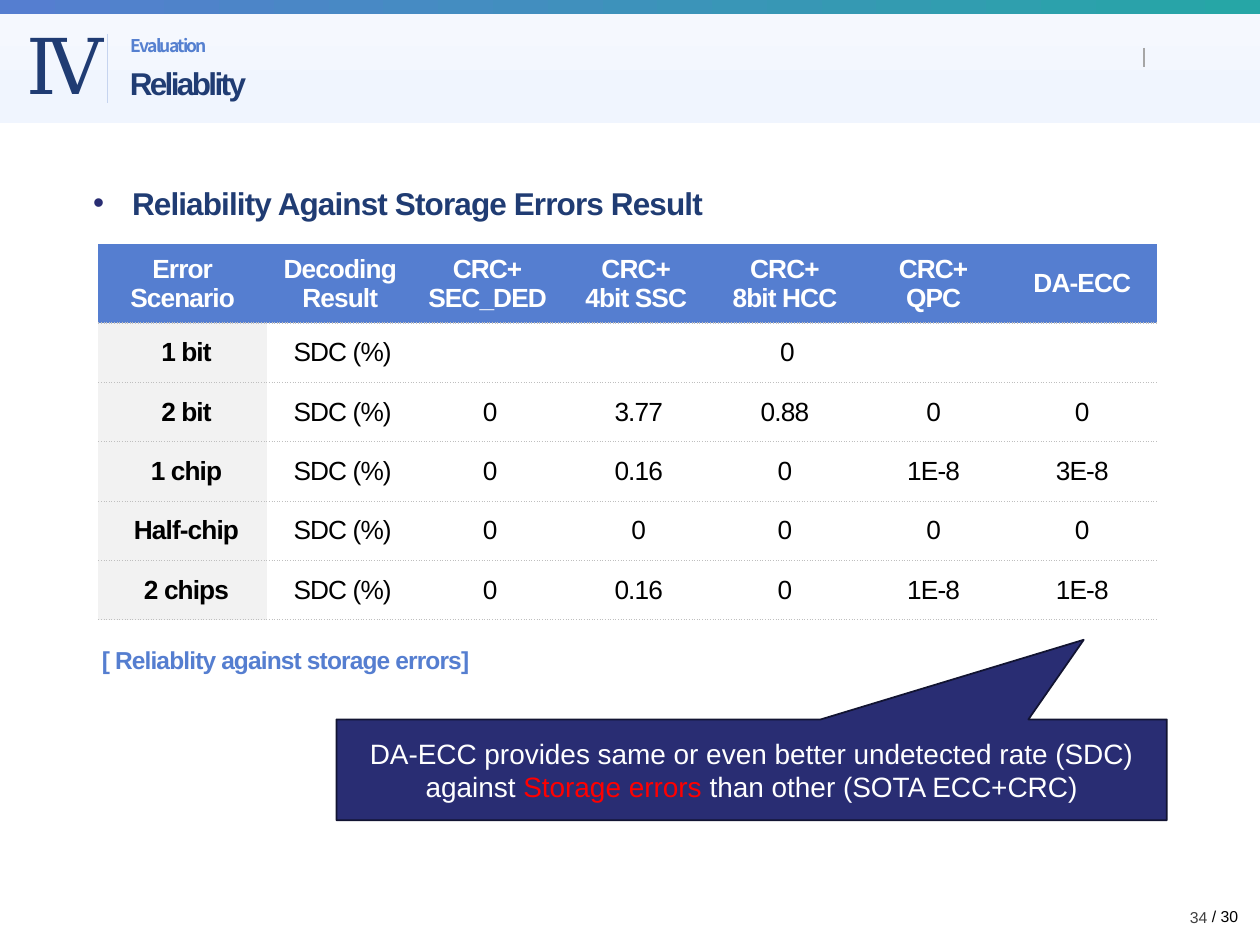
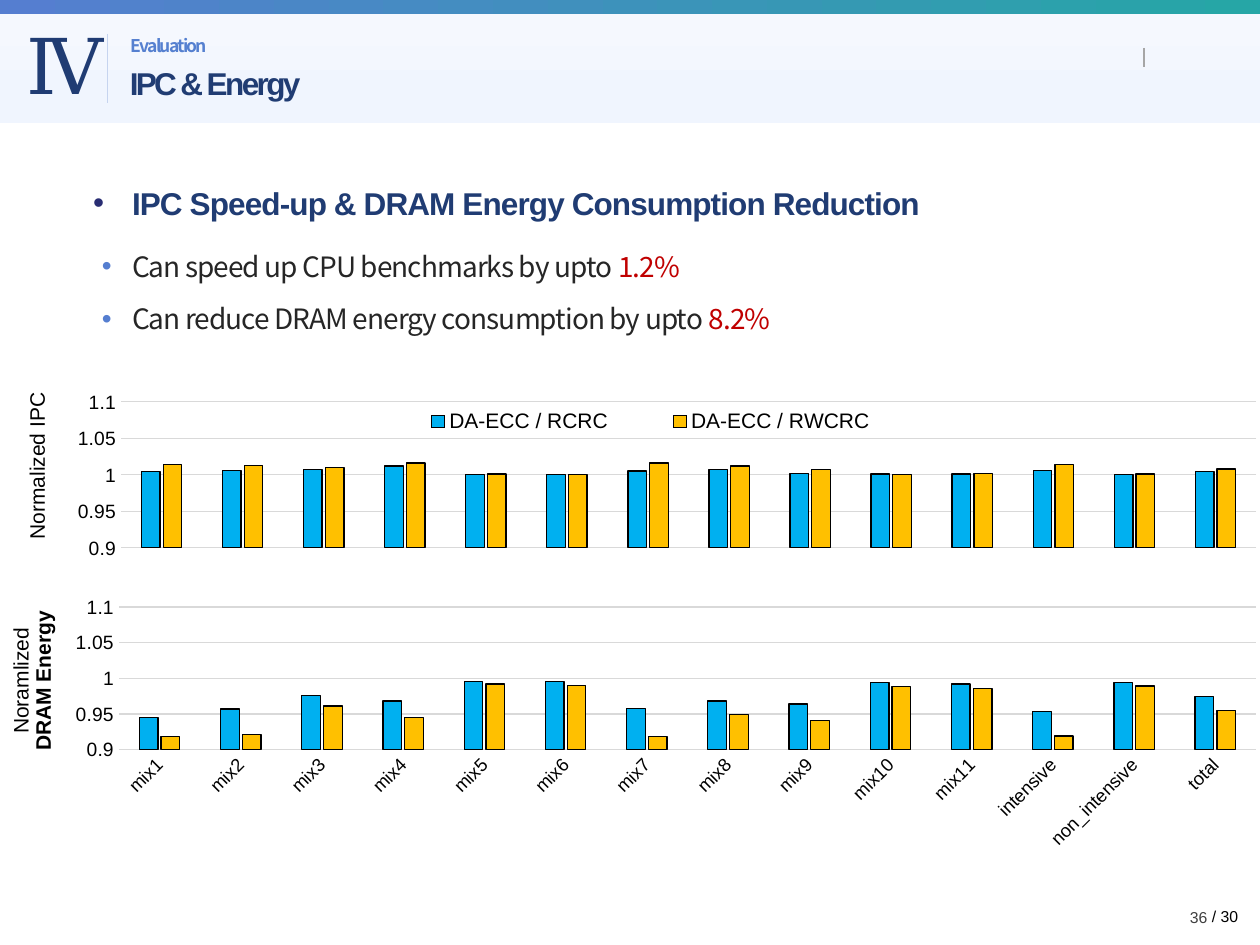
"""Build two evaluation slides: a reliability table and IPC and energy charts."""
from lxml import etree
from pptx import Presentation
from pptx import util as u
from pptx.chart import data as cd
from pptx.dml import color as dc
from pptx.enum import chart as ch
from pptx.enum import shapes, text
from pptx.oxml import ns

NAVY, BLUE, BLACK, WHITE = "203C73", "557ED0", "000000", "FFFFFF"
DEEP, RED, GRID = "292D73", "C00000", "D9D9D9"
SANS = "Noto Sans CJK KR"
LEFT, CENTER, RIGHT = text.PP_ALIGN.LEFT, text.PP_ALIGN.CENTER, text.PP_ALIGN.RIGHT
MIDDLE, TOP = text.MSO_ANCHOR.MIDDLE, text.MSO_ANCHOR.TOP


def rgb(value):
    return dc.RGBColor.from_string(value)


def write(p, words, size=18, color=BLACK, font="Arial", bold=False, spc=0,
          align=LEFT, line=None, before=None, after=None, bullet=None, hang=0):
    r = p.add_run()
    r.text = words
    r.font.size, r.font.bold, r.font.name = u.Pt(size), bold, font
    r.font.color.rgb = rgb(color)
    rpr = r.font._element
    etree.SubElement(rpr, ns.qn("a:ea"), typeface=font)
    if spc:
        rpr.set("spc", str(int(spc * 100)))
    p.alignment = align
    if line:
        p.line_spacing = line
    if before is not None:
        p.space_before = u.Pt(before)
    if after is not None:
        p.space_after = u.Pt(after)
    if bullet:
        ppr = p._p.get_or_add_pPr()
        ppr.set("marL", str(u.Inches(0.31)))
        ppr.set("indent", str(-u.Inches(hang)))
        clr = etree.SubElement(ppr, ns.qn("a:buClr"))
        etree.SubElement(clr, ns.qn("a:srgbClr"), val=bullet)
        etree.SubElement(ppr, ns.qn("a:buFont"), typeface="Arial")
        etree.SubElement(ppr, ns.qn("a:buChar"), char="•")


prs = Presentation()
prs.slide_width, prs.slide_height = u.Inches(10), u.Inches(7.5)

bands = [
    (0.11, 0.87, 270, [(0.07, "F5F8FE"), (0.73, "F0F5FE")]),
    (0, 0.11, 0, [(0, BLUE), (1, "26A6A6")]),
]
rules = [(0.85, 0.27, 0.82, "C6D4EF", 0.5), (9.08, 0.38, 0.53, "A6A6A6", 0.75)]
pages = [
    ("Reliablity", "34", "Reliability Against Storage Errors Result"),
    ("IPC & Energy", "36", "IPC Speed-up & DRAM Energy Consumption Reduction"),
]
bodies = []

for title, number, heading in pages:
    s = prs.slides.add_slide(prs.slide_layouts[5])
    for top, height, angle, stops in bands:
        sp = s.shapes.add_shape(shapes.MSO_SHAPE.RECTANGLE, 0, u.Inches(top),
                                u.Inches(10), u.Inches(height))
        sp.shadow.inherit = False
        sp.line.fill.background()
        sp.fill.gradient()
        sp.fill.gradient_angle = angle
        for stop, (position, color) in zip(sp.fill.gradient_stops, stops):
            stop.position = position
            stop.color.rgb = rgb(color)
    for x, y1, y2, color, width in rules:
        line = s.shapes.add_connector(shapes.MSO_CONNECTOR.STRAIGHT, u.Inches(x),
                                      u.Inches(y1), u.Inches(x), u.Inches(y2))
        line.line.color.rgb = rgb(color)
        line.line.width = u.Pt(width)
        etree.SubElement(line._element.spPr, ns.qn("a:effectLst"))

    labels = [
        ((0.11, 0.09, 0.68, 0.84), TOP, "Ⅳ",
         dict(size=44, color=NAVY, font="Times New Roman", spc=-3)),
        ((9.52, 7.15, 0.48, 0.25), TOP, "/ 30", dict(size=9)),
        ((0.64, 1.35, 8.9, 5.18), TOP, heading,
         dict(color=NAVY, bold=True, spc=-0.5, line=1.2, before=9, after=9,
              bullet=DEEP, hang=0.31)),
        ((7.43, 7.08, 2.25, 0.4), MIDDLE, number,
         dict(size=9, color="404040", align=RIGHT)),
        ((0.94, 0.25, 8.1, 0.25), MIDDLE, "Evaluation",
         dict(size=10, color="5580D0", font=SANS, bold=True, spc=-1, line=0.9)),
    ]
    for box, anchor, words, style in labels:
        tf = s.shapes.add_textbox(*map(u.Inches, box)).text_frame
        tf.word_wrap, tf.vertical_anchor = True, anchor
        write(tf.paragraphs[0], words, **style)
        if words == heading:
            bodies.append(tf)

    sp = s.shapes.title
    sp.left, sp.top, sp.width, sp.height = map(u.Inches, (0.93, 0.49, 8.1, 0.37))
    tf = sp.text_frame
    tf.auto_size, tf.vertical_anchor = text.MSO_AUTO_SIZE.NONE, MIDDLE
    write(tf.paragraphs[0], title, color=NAVY, bold=True, spc=-1.5, line=0.9)
    sp.element.getparent().append(sp.element)

s = prs.slides[0]
rows = [
    ["Error\nScenario", "Decoding\nResult", "CRC+\nSEC_DED", "CRC+\n4bit SSC",
     "CRC+\n8bit HCC", "CRC+\nQPC", "DA-ECC"],
    ["1 bit", "SDC (%)", "0", "", "", "", ""],
    ["2 bit", "SDC (%)", "0", "3.77", "0.88", "0", "0"],
    ["1 chip", "SDC (%)", "0", "0.16", "0", "1E-8", "3E-8"],
    ["Half-chip", "SDC (%)", "0", "0", "0", "0", "0"],
    ["2 chips", "SDC (%)", "0", "0.16", "0", "1E-8", "1E-8"],
]
table = s.shapes.add_table(len(rows), 7, u.Inches(0.78), u.Inches(1.94),
                           u.Inches(8.4), u.Inches(2.82)).table
table.first_row = table.horz_banding = False
for i, width in enumerate([1.34, 1.16] + [1.18] * 5):
    table.columns[i].width = u.Inches(width)
for i, row in enumerate(rows):
    table.rows[i].height = u.Inches(0.46 if i else 0.52)
    for j, words in enumerate(row):
        cell = table.cell(i, j)
        if i == 0:
            insets, fill, color = (0.1, 0.08, 0.1, 0.08), BLUE, WHITE
        elif j == 0:
            insets, fill, color = (0.16, 0.12, 0.1, 0.12), "F2F2F2", BLACK
        else:
            insets, fill, color = (0.12, 0.12, 0.12 if j > 3 else 0.08, 0.12), WHITE, BLACK
        (cell.margin_left, cell.margin_top,
         cell.margin_right, cell.margin_bottom) = map(u.Inches, insets)
        cell.vertical_anchor = MIDDLE
        tcpr = cell._tc.get_or_add_tcPr()
        for side in ("lnL", "lnR", "lnT", "lnB"):
            ln = etree.SubElement(tcpr, ns.qn("a:" + side), w=str(u.Pt(0.75)))
            if side == "lnB" or side == "lnT" and i:
                solid = etree.SubElement(ln, ns.qn("a:solidFill"))
                etree.SubElement(solid, ns.qn("a:srgbClr"), val="BFBFBF")
                etree.SubElement(ln, ns.qn("a:prstDash"), val="sysDot")
            else:
                etree.SubElement(ln, ns.qn("a:noFill"))
        cell.fill.solid()
        cell.fill.fore_color.rgb = rgb(fill)
        if words:
            for k, part in enumerate(words.split("\n")):
                tf = cell.text_frame
                p = tf.add_paragraph() if k else tf.paragraphs[0]
                write(p, part, size=15, color=color, bold=i == 0 or j == 0,
                      spc=-0.5, align=CENTER)
table.cell(1, 2).merge(table.cell(1, 6))

tf = s.shapes.add_textbox(*map(u.Inches, (0.71, 5.07, 3.5, 0.34))).text_frame
tf.word_wrap = True
write(tf.paragraphs[0], "[ Reliablity against storage errors]", size=14, color=BLUE,
      bold=True, spc=-0.5)

sp = s.shapes.add_shape(shapes.MSO_SHAPE.RECTANGULAR_CALLOUT,
                        *map(u.Inches, (2.67, 5.71, 6.59, 0.8)))
sp.adjustments[0], sp.adjustments[1] = 0.4, -1.29
sp.shadow.inherit = False
sp.fill.solid()
sp.fill.fore_color.rgb = rgb(DEEP)
sp.line.color.rgb = rgb("121432")
sp.line.width = u.Pt(1)
tf = sp.text_frame
tf.word_wrap, tf.vertical_anchor = True, MIDDLE
for words, color in [
    ("DA-ECC provides same or even better undetected rate (SDC) against ", WHITE),
    ("Storage errors ", "FF0000"),
    ("than other (SOTA ECC+CRC)", WHITE),
]:
    write(tf.paragraphs[0], words, size=16, color=color, align=CENTER)

s = prs.slides[1]
for words, gain in [("Can speed up CPU benchmarks by upto ", "1.2%"),
                    ("Can reduce DRAM energy consumption by upto ", "8.2%")]:
    p = bodies[1].add_paragraph()
    write(p, words, size=16, color="262626", font=SANS, spc=-0.5, line=1.2, before=3,
          after=4, bullet=BLUE, hang=0.24)
    write(p, gain, size=16, color=RED, font=SANS, spc=-0.5)

charts = [
    dict(box=(-0.07, 4.64, 10.14, 2.22), title=["Noramlized", "DRAM Energy"],
         cats=[f"mix{n}" for n in range(1, 12)] + ["intensive", "non_intensive", "total"],
         series={
             "Series 1": [0.945, 0.957, 0.976, 0.968, 0.995, 0.995, 0.958,
                          0.968, 0.964, 0.994, 0.992, 0.953, 0.994, 0.974],
             "Series 2": [0.918, 0.921, 0.961, 0.945, 0.992, 0.99, 0.918,
                          0.949, 0.941, 0.988, 0.986, 0.919, 0.989, 0.955]},
         layouts={"plotArea": (0.1, 0.08, 0.89, 0.51), "title": (0.01, 0.08)}),
    dict(box=(0.06, 2.74, 10.01, 1.73), title=["Normalized IPC"],
         cats=[str(n) for n in range(1, 15)],
         series={
             "DA-ECC / RCRC": [1.004, 1.006, 1.007, 1.012, 1, 1, 1.005,
                               1.007, 1.002, 1.001, 1.001, 1.006, 1, 1.004],
             "DA-ECC / RWCRC": [1.014, 1.013, 1.01, 1.016, 1.001, 1, 1.016,
                                1.012, 1.007, 1, 1.002, 1.014, 1.001, 1.008]},
         layouts={"plotArea": (0.09, 0.26, 0.9, 0.67), "title": (0.01, 0.2),
                  "legend": (0.29, 0.28, 0.44, 0.14)}),
]
for item in charts:
    data = cd.CategoryChartData()
    data.categories = item["cats"]
    for name, values in item["series"].items():
        data.add_series(name, values)
    chart = s.shapes.add_chart(ch.XL_CHART_TYPE.COLUMN_CLUSTERED,
                               *map(u.Inches, item["box"]), data).chart
    chart.has_title = False
    chart.font.size, chart.font.name = u.Pt(9), "Arial"
    chart.font.color.rgb = rgb(BLACK)
    plot = chart.plots[0]
    plot.gap_width, plot.overlap, plot.vary_by_categories = 219, -17, False
    for series, color in zip(plot.series, ("00B0F0", "FFC000")):
        series.format.fill.solid()
        series.format.fill.fore_color.rgb = rgb(color)
        series.format.line.color.rgb = rgb(BLACK)
        series.format.line.width = u.Pt(0.75)

    cat, val = chart.category_axis, chart.value_axis
    val.minimum_scale, val.maximum_scale, val.major_unit = 0.9, 1.1, 0.05
    val.format.line.fill.background()
    for axis, size in ((cat, 10.5), (val, 11)):
        axis.major_tick_mark = axis.minor_tick_mark = ch.XL_TICK_MARK.NONE
        font = axis.tick_labels.font
        font.size, font.name = u.Pt(size), "Arial"
        font.color.rgb = rgb(BLACK)
    for fmt in (cat.format, val.major_gridlines.format):
        fmt.line.color.rgb = rgb(GRID)
        fmt.line.width = u.Pt(0.75)
    tf = val.axis_title.text_frame
    for k, words in enumerate(item["title"]):
        p = tf.add_paragraph() if k else tf.paragraphs[0]
        write(p, words, size=12, bold=k == 1, align=CENTER)

    if "legend" in item["layouts"]:
        cat.visible = False
        chart.has_legend = True
        chart.legend.position = ch.XL_LEGEND_POSITION.TOP
        chart.legend.include_in_layout = False
        chart.legend.font.size, chart.legend.font.name = u.Pt(12), "Arial"
        chart.legend.font.color.rgb = rgb(BLACK)
    for query, angle in (("//c:catAx/c:txPr/a:bodyPr", -45),
                         ("//c:valAx/c:title//a:bodyPr", -90)):
        for body in chart.element.xpath(query):
            body.set("rot", str(angle * 60000))
            body.set("vert", "horz")
    for tag, box in item["layouts"].items():
        parent = chart.element.xpath("//c:" + tag)[0]
        for old in parent.findall(ns.qn("c:layout")):
            parent.remove(old)
        layout = etree.Element(ns.qn("c:layout"))
        parent.insert(0 if tag == "plotArea" else 1, layout)
        manual = etree.SubElement(layout, ns.qn("c:manualLayout"))
        if tag == "plotArea":
            etree.SubElement(manual, ns.qn("c:layoutTarget"), val="inner")
        for mode in ("xMode", "yMode"):
            etree.SubElement(manual, ns.qn("c:" + mode), val="edge")
        for key, value in zip("xywh", box):
            etree.SubElement(manual, ns.qn("c:" + key), val=str(value))

prs.save("out.pptx")
